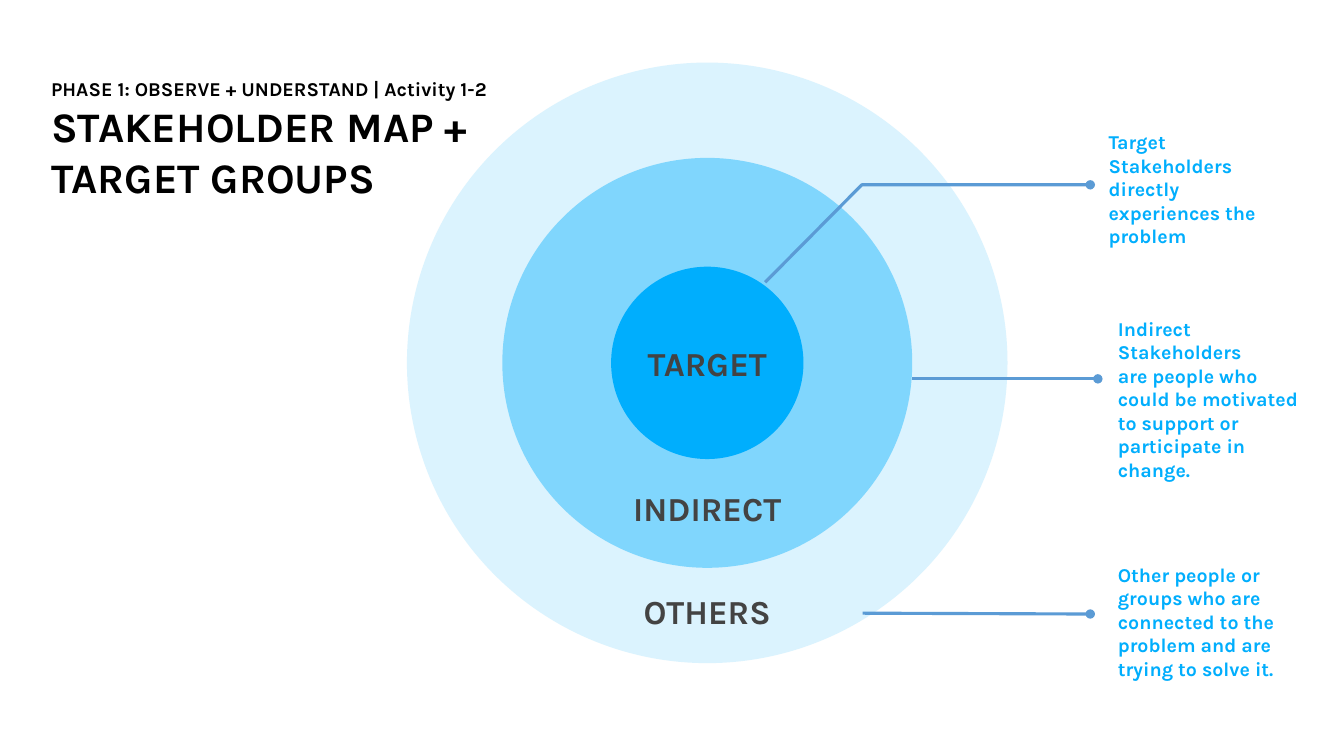
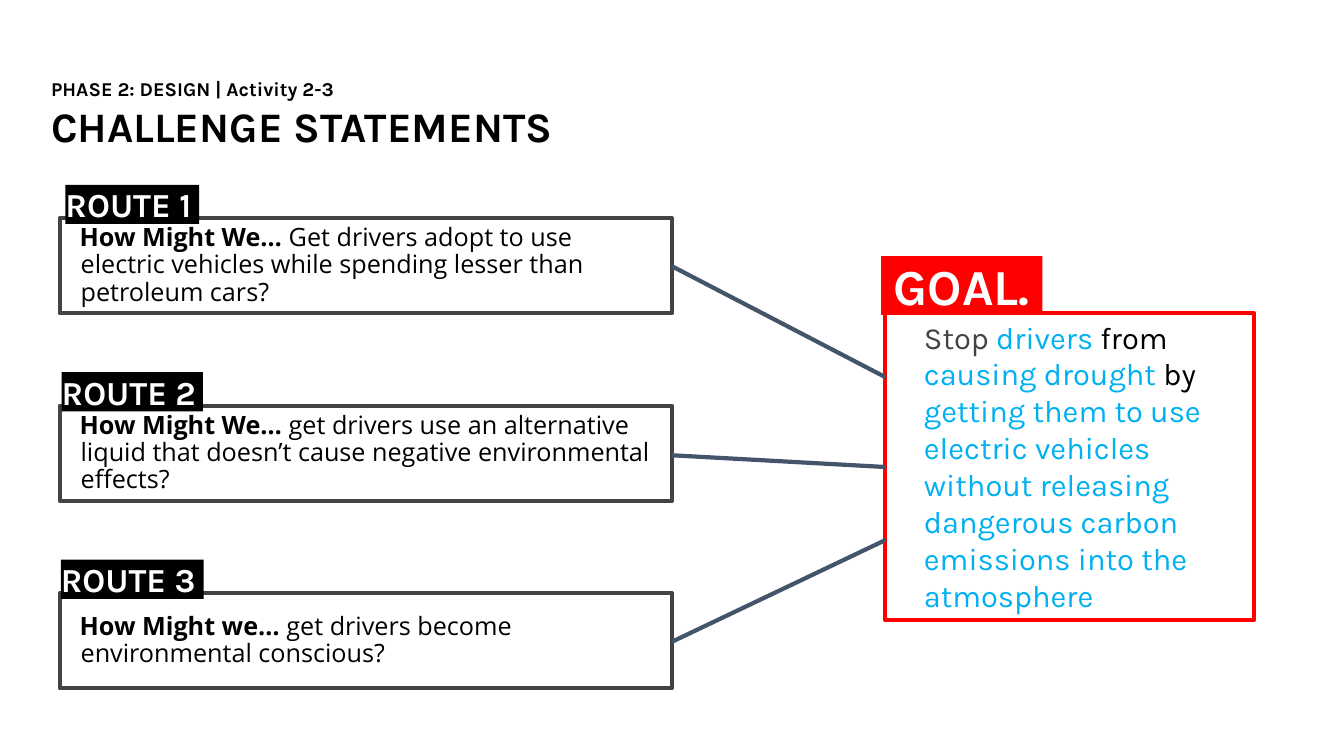
from dataclasses import dataclass

from lxml import etree
from pptx import Presentation
from pptx.dml.color import RGBColor
from pptx.enum.shapes import MSO_CONNECTOR, MSO_SHAPE
from pptx.enum.text import MSO_ANCHOR, PP_ALIGN
from pptx.oxml.ns import qn
from pptx.util import Emu, Inches, Pt

# The slide is a grid of 160 columns by 90 rows of square cells.
COLUMNS, ROWS = 160, 90
CELL = Inches(1) // 12

BLACK = RGBColor(0x00, 0x00, 0x00)
WHITE = RGBColor(0xFF, 0xFF, 0xFF)
GREY = RGBColor(0x43, 0x43, 0x43)
SKY = RGBColor(0x00, 0xAE, 0xFD)
CYAN = RGBColor(0x00, 0xB0, 0xF0)
STEEL = RGBColor(0x5B, 0x9B, 0xD5)
SLATE = RGBColor(0x44, 0x54, 0x6A)
RED = RGBColor(0xFF, 0x00, 0x00)

HEADING_FONT, BODY_FONT = "Karla", "Open Sans"
LEFT, CENTER = PP_ALIGN.LEFT, PP_ALIGN.CENTER
TOP, MIDDLE = MSO_ANCHOR.TOP, MSO_ANCHOR.MIDDLE
RECTANGLE, OVAL = MSO_SHAPE.RECTANGLE, MSO_SHAPE.OVAL
STRAIGHT = MSO_CONNECTOR.STRAIGHT


@dataclass(frozen=True)
class Area:
    """A rectangle in grid cells."""
    left: float
    top: float
    width: float
    height: float

    def emu(self):
        return [cells(n) for n in (self.left, self.top, self.width, self.height)]


@dataclass(frozen=True)
class Span:
    """A piece of text; unset fields follow the format of its box."""
    text: str
    color: RGBColor | None = None
    size: float | None = None
    bold: bool | None = None


@dataclass(frozen=True)
class Ring:
    label: str
    diameter: float
    label_row: float
    opacity: int


@dataclass(frozen=True)
class Callout:
    paragraphs: tuple[str, ...]
    area: Area
    leader: tuple[tuple[float, float], ...]


@dataclass(frozen=True)
class Route:
    opening: str
    idea: str
    tag_width: float
    link_start: float
    link_end: float


TITLE_AREA = Area(4.9, 8.6, 120, 10.6)

RING_CENTER = (84.2, 43.2)
RINGS = (
    Ring("OTHERS", 71.5, 72.8, 14),
    Ring("INDIRECT", 48.8, 60.5, 41),
    Ring("TARGET", 22.9, 43.2, 100),
)
CALLOUTS = (
    Callout(("Target Stakeholders directly experiences the problem",),
            Area(130.8, 14.3, 22.8, 14.6),
            ((91.1, 33.6), (102.6, 22), (129.8, 22))),
    Callout(("Indirect Stakeholders",
             "are people who could be motivated to support or participate in change."),
            Area(131.9, 36.5, 24.5, 14.6),
            ((108.6, 45.1), (130.7, 45.1))),
    Callout(("Other people or groups who are connected to the problem "
             "and are trying to solve it.",),
            Area(131.9, 65.8, 24.5, 14.6),
            ((102.7, 73), (129.8, 73.1))),
)

ROUTE_AREA = Area(7.1, 26, 72.9, 11.3)
ROUTE_PITCH = 22.32
TAG_CENTER, TAG_RISE, TAG_HEIGHT = 15.75, 4, 4.67
ROUTES = (
    Route("How Might We… ", "Get drivers adopt to use electric vehicles while "
          "spending lesser than petroleum cars?", 15.9, 31.7, 44.9),
    Route("How Might We…", " get drivers use an alternative liquid that doesn’t "
          "cause negative environmental effects?", 16.8, 54.2, 55.6),
    Route("How Might we… ", "get drivers become environmental conscious?",
          17, 76.4, 64.3),
)
GOAL_AREA = Area(105.4, 37.3, 43.9, 36.5)
GOAL_TAG_AREA = Area(104.9, 30.5, 19.2, 7)
GOAL = (
    Span("Stop "), Span("drivers ", CYAN), Span("from", BLACK),
    Span(" causing drought", CYAN), Span(" by ", BLACK),
    Span("getting them to use electric vehicles without releasing dangerous "
         "carbon emissions into the atmosphere", CYAN),
)


def cells(count: float) -> Emu:
    return Emu(round(count * CELL))


def write(shape, *paragraphs: tuple[Span, ...], size: float, color=BLACK,
          font=HEADING_FONT, bold=True, align=LEFT, anchor=TOP,
          inset=(1.2, 1.2), spacing: float | None = None, hanging=False):
    """Fill a shape with paragraphs; inset is (sides, top and bottom) in cells."""
    frame = shape.text_frame
    frame.word_wrap = True
    frame.vertical_anchor = anchor
    frame.margin_left = frame.margin_right = cells(inset[0])
    frame.margin_top = frame.margin_bottom = cells(inset[1])
    for index, spans in enumerate(paragraphs):
        paragraph = frame.add_paragraph() if index else frame.paragraphs[0]
        paragraph.alignment = align
        if spacing:
            paragraph.line_spacing = spacing
        if hanging:
            properties = paragraph._p.get_or_add_pPr()
            properties.set("marL", str(Inches(0.11)))
            properties.set("indent", str(Inches(-0.01)))
        for span in spans:
            run = paragraph.add_run()
            run.text = span.text
            run.font.name = font
            run.font.size = Pt(span.size or size)
            run.font.bold = bold if span.bold is None else span.bold
            run.font.color.rgb = span.color or color


def add_text(slide, area: Area, *paragraphs: tuple[Span, ...], **text_format):
    write(slide.shapes.add_textbox(*area.emu()), *paragraphs, **text_format)


def add_block(slide, kind, area: Area, fill: RGBColor | None = None,
              outline: RGBColor | None = None, opacity: int = 100):
    block = slide.shapes.add_shape(kind, *area.emu())
    block.shadow.inherit = False
    if fill is None:
        block.fill.background()
    else:
        block.fill.solid()
        block.fill.fore_color.rgb = fill
        if opacity < 100:
            fill_color = block._element.spPr.find(f".//{qn('a:srgbClr')}")
            etree.SubElement(fill_color, qn("a:alpha"), val=str(opacity * 1000))
    if outline is None:
        block.line.fill.background()
    else:
        block.line.color.rgb = outline
        block.line.width = Pt(3)
    return block


def add_path(slide, points, color: RGBColor, width: float, dot_end=False):
    """Draw a line through grid points, as a connector if it is straight."""
    start, *rest = [(cells(x), cells(y)) for x, y in points]
    if len(rest) == 1:
        path = slide.shapes.add_connector(STRAIGHT, *start, *rest[0])
    else:
        builder = slide.shapes.build_freeform(*start, scale=1.0)
        builder.add_line_segments(rest, close=False)
        path = builder.convert_to_shape()
        path.fill.background()
    path.line.color.rgb = color
    path.line.width = Pt(width)
    properties = path._element.spPr
    if dot_end:
        etree.SubElement(properties.find(qn("a:ln")), qn("a:tailEnd"), type="oval")
    etree.SubElement(properties, qn("a:effectLst"))


def add_titled_slide(deck, phase: str, *title_lines: str):
    slide = deck.slides.add_slide(deck.slide_layouts[6])
    add_text(slide, TITLE_AREA, (Span(phase, size=14),),
             *((Span(line),) for line in title_lines), size=30, inset=(1.2, 0.6))
    return slide


def add_stakeholder_map(deck):
    slide = add_titled_slide(deck, "PHASE 1: OBSERVE + UNDERSTAND | Activity 1-2",
                             "STAKEHOLDER MAP +", "TARGET GROUPS")
    center_x, center_y = RING_CENTER
    for ring in RINGS:
        radius = ring.diameter / 2
        add_block(slide, OVAL,
                  Area(center_x - radius, center_y - radius, ring.diameter, ring.diameter),
                  fill=SKY, opacity=ring.opacity)
    for ring in RINGS:
        add_text(slide, Area(center_x - 11.5, ring.label_row - 2.75, 23, 5.5),
                 (Span(ring.label),), size=24, color=GREY, align=CENTER, anchor=MIDDLE)
    for callout in CALLOUTS:
        add_path(slide, callout.leader, STEEL, 2.25, dot_end=True)
        add_text(slide, callout.area, *((Span(text),) for text in callout.paragraphs),
                 size=14, color=SKY)


def add_challenge_statements(deck):
    slide = add_titled_slide(deck, "PHASE 2: DESIGN | Activity 2-3",
                             "CHALLENGE STATEMENTS")
    goal = add_block(slide, RECTANGLE, GOAL_AREA, outline=RED)
    write(goal, GOAL, size=22, color=GREY, bold=False, inset=(4.6, 0.6))
    goal_tag = add_block(slide, RECTANGLE, GOAL_TAG_AREA, fill=RED)
    write(goal_tag, (Span("GOAL."),), size=36, color=WHITE, align=CENTER,
          anchor=MIDDLE, inset=(0, 0))

    for index, route in enumerate(ROUTES):
        top = ROUTE_AREA.top + index * ROUTE_PITCH
        statement = add_block(
            slide, RECTANGLE,
            Area(ROUTE_AREA.left, top, ROUTE_AREA.width, ROUTE_AREA.height),
            outline=GREY)
        write(statement, (Span(route.opening, bold=True), Span(route.idea)),
              size=18, font=BODY_FONT, bold=False, anchor=MIDDLE,
              spacing=0.9, hanging=True)
        tag = add_block(
            slide, RECTANGLE,
            Area(TAG_CENTER - route.tag_width / 2, top - TAG_RISE,
                 route.tag_width, TAG_HEIGHT),
            fill=BLACK)
        write(tag, (Span(f"ROUTE {index + 1}"),), size=24, color=WHITE,
              anchor=MIDDLE, inset=(0, 0))
        add_path(slide, ((ROUTE_AREA.left + ROUTE_AREA.width, route.link_start),
                         (GOAL_AREA.left, route.link_end)), SLATE, 3)


def main():
    deck = Presentation()
    deck.slide_width, deck.slide_height = cells(COLUMNS), cells(ROWS)
    add_stakeholder_map(deck)
    add_challenge_statements(deck)
    deck.save("out.pptx")


if __name__ == "__main__":
    main()
